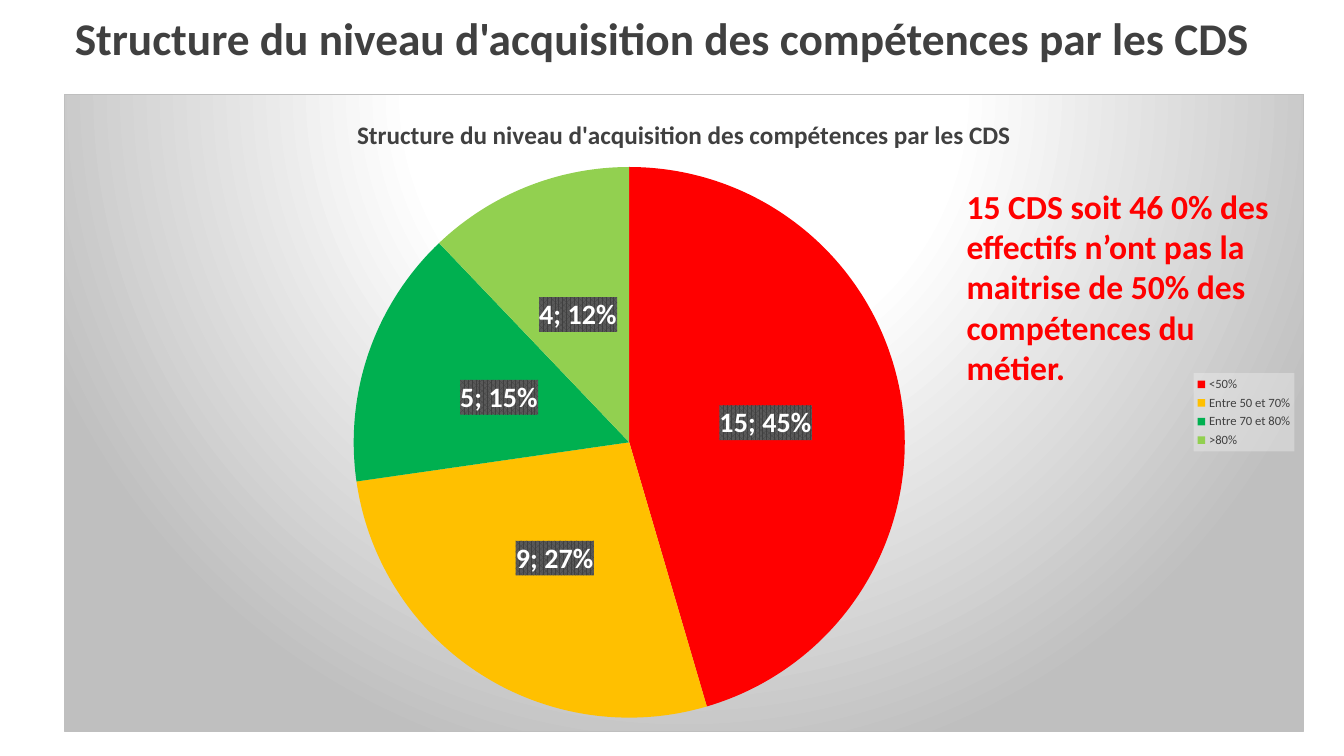
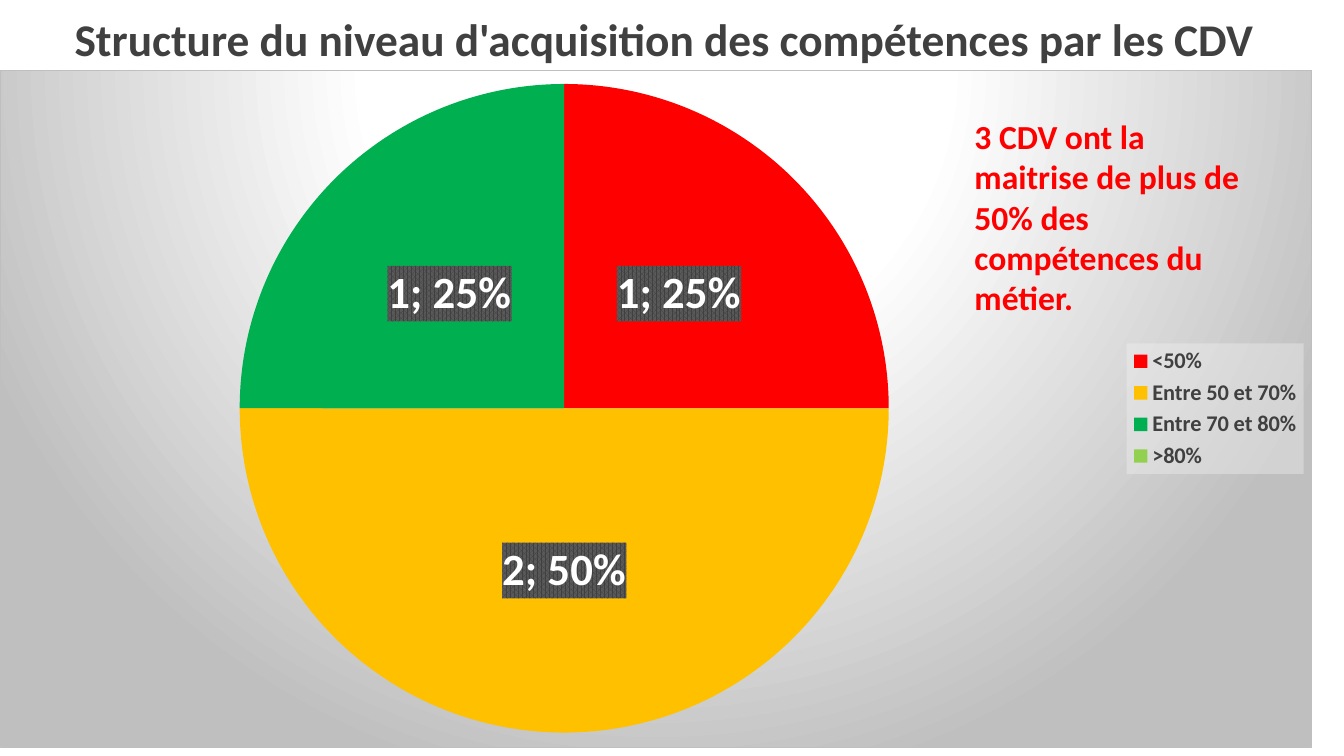
import pptx
import pptx.chart.data
import pptx.dml.color
import pptx.enum.chart
import pptx.enum.text
import pptx.oxml
import pptx.util
from pptx.util import Pt

COLORS = {
    "text": "404040", "alert": "FF0000", "white": "FFFFFF", "black": "000000",
    "grey": "BFBFBF", "legend": "F2F2F2", "label_light": "595959",
}
LEVELS = {
    "<50%": "FF0000", "Entre 50 et 70%": "FFC000",
    "Entre 70 et 80%": "00B050", ">80%": "92D050",
}
FONT = "Calibri"
NAMESPACES = (
    'xmlns:c="http://schemas.openxmlformats.org/drawingml/2006/chart" '
    'xmlns:a="http://schemas.openxmlformats.org/drawingml/2006/main"'
)


def rgb(value):
    """Turn a hex string into a colour."""
    return pptx.dml.color.RGBColor.from_string(value)


def set_font(font, size, color, bold=False):
    """Apply the shared typeface with a size, colour and weight."""
    font.name = FONT
    font.size = Pt(size)
    font.bold = bold
    font.color.rgb = rgb(COLORS[color])


def chart_xml(tag, content):
    """Build a chart element around the given content."""
    return pptx.oxml.parse_xml(f"<c:{tag} {NAMESPACES}>{content}</c:{tag}>")


def color_xml(name, inner=""):
    """Write a named colour as drawing markup."""
    return f'<a:srgbClr val="{COLORS[name]}">{inner}</a:srgbClr>'


def add_text(slide, box, text, size, color, centred=False):
    """Place one bold paragraph in a box."""
    frame = slide.shapes.add_textbox(*map(Pt, box)).text_frame
    frame.word_wrap = True
    paragraph = frame.paragraphs[0]
    if centred:
        frame.vertical_anchor = pptx.enum.text.MSO_ANCHOR.MIDDLE
        paragraph.alignment = pptx.enum.text.PP_ALIGN.CENTER
    else:
        frame.auto_size = pptx.enum.text.MSO_AUTO_SIZE.SHAPE_TO_FIT_TEXT
    run = paragraph.add_run()
    run.text = text
    set_font(run.font, size, color, True)


def layout_xml(part, panel, target=""):
    """Describe a part's box, in points, as fractions of its panel."""
    left, top, width, height = part
    fractions = {"x": left / panel[2], "y": top / panel[3],
                 "w": width / panel[2], "h": height / panel[3]}
    modes = '<c:xMode val="edge"/><c:yMode val="edge"/>'
    sizes = "".join(f'<c:{key} val="{value:.4f}"/>' for key, value in fractions.items())
    return chart_xml("layout", f"<c:manualLayout>{target}{modes}{sizes}</c:manualLayout>")


def style_panel(chart):
    """Give the chart area its radial gradient and thin border."""
    stops = "".join(
        f'<a:gs pos="{position * 1000}">{color_xml(name)}</a:gs>'
        for position, name in ((0, "white"), (39, "white"), (100, "grey"))
    )
    chart._chartSpace.chart.addnext(chart_xml("spPr", (
        f'<a:gradFill><a:gsLst>{stops}</a:gsLst><a:path path="circle">'
        '<a:fillToRect l="50000" t="-80000" r="50000" b="180000"/></a:path></a:gradFill>'
        f'<a:ln w="9525"><a:solidFill>{color_xml("grey")}</a:solidFill></a:ln>'
    )))


def style_legend(chart, panel, box, size, bold):
    """Place the legend on a translucent plate."""
    chart.has_legend = True
    legend = chart.legend
    legend.position = pptx.enum.chart.XL_LEGEND_POSITION.RIGHT
    legend.include_in_layout = False
    set_font(legend.font, size, "text", bold)
    element = legend._element
    for old in element.xpath("c:layout"):
        element.remove(old)
    element.xpath("c:legendPos")[0].addnext(layout_xml(box, panel))
    plate = color_xml("legend", '<a:alpha val="39000"/>')
    element.xpath("c:txPr")[0].addprevious(
        chart_xml("spPr", f"<a:solidFill>{plate}</a:solidFill>"))


def style_labels(plot, values, size):
    """Show count and share on patterned tags, except for empty slices."""
    labels = plot.series[0].data_labels
    labels.show_value = True
    labels.show_percentage = True
    labels.position = pptx.enum.chart.XL_LABEL_POSITION.CENTER
    set_font(labels.font, size, "white", True)
    element = labels._element
    element.xpath("c:txPr")[0].addprevious(chart_xml("spPr", (
        f'<a:pattFill prst="pct75"><a:fgClr>{color_xml("text")}</a:fgClr>'
        f'<a:bgClr>{color_xml("label_light")}</a:bgClr></a:pattFill>'
    )))
    element.xpath("c:showBubbleSize | c:showPercent")[-1].addnext(
        chart_xml("separator", "; "))
    empty = [index for index, value in enumerate(values) if not value]
    for position, index in enumerate(empty):
        element.insert(position, chart_xml(
            "dLbl", f'<c:idx val="{index}"/><c:delete val="1"/>'))


def add_pie(slide, panel, pie, values, label_size, legend, chart_title=None):
    """Draw the pie of skill levels in its panel."""
    data = pptx.chart.data.CategoryChartData()
    data.categories = list(LEVELS)
    data.add_series("Series 1", values)
    chart = slide.shapes.add_chart(
        pptx.enum.chart.XL_CHART_TYPE.PIE, *map(Pt, panel), data).chart
    set_font(chart.font, 10, "black")
    chart.has_title = chart_title is not None
    if chart_title:
        run = chart.chart_title.text_frame.paragraphs[0].add_run()
        run.text = chart_title
        set_font(run.font, 18, "text", True)
    style_panel(chart)
    style_legend(chart, panel, *legend)
    plot = chart.plots[0]
    plot.vary_by_categories = True
    for index, color in enumerate(LEVELS.values()):
        fill = plot.series[0].points[index].format.fill
        fill.solid()
        fill.fore_color.rgb = rgb(color)
    style_labels(plot, values, label_size)
    area = chart._chartSpace.chart.plotArea
    for old in area.xpath("c:layout"):
        area.remove(old)
    area.insert(0, layout_xml(pie, panel, '<c:layoutTarget val="inner"/>'))


def add_skills_slide(deck, title, title_box, finding, finding_box, pie):
    """Build a slide with a title, a pie and its main finding."""
    slide = deck.slides.add_slide(deck.slide_layouts[6])
    add_pie(slide, **pie)
    add_text(slide, title_box, title, 32.4, "text", centred=True)
    add_text(slide, finding_box, finding, 24, "alert")


def main():
    """Build both slides and save the deck."""
    deck = pptx.Presentation()
    deck.slide_width, deck.slide_height = Pt(960), Pt(540)
    title = "Structure du niveau d'acquisition des compétences par les "
    add_skills_slide(
        deck, title + "CDS", (8, -18, 930, 90),
        "15 CDS soit 46 0% des effectifs n’ont pas la maitrise de 50% "
        "des compétences du métier.",
        (683.3, 129, 231, 152.6),
        {"panel": (45.4, 67, 886.3, 455.8), "pie": (207, 52, 394, 394),
         "values": (15, 9, 5, 4), "label_size": 20,
         "legend": ((807.5, 199.5, 72, 56), 9, False),
         "chart_title": title + "CDS"})
    add_skills_slide(
        deck, title + "CDV", (5.8, 5.8, 937.4, 43.2),
        "3 CDV ont la maitrise de plus de 50% des compétences du métier.",
        (689, 79.2, 219, 152.6),
        {"panel": (0, 49.7, 937.4, 484.6), "pie": (171, 10, 464, 464),
         "values": (1, 2, 1, 0), "label_size": 32,
         "legend": ((805, 195.5, 126.5, 93.5), 16, True)})
    deck.save("out.pptx")


if __name__ == "__main__":
    main()
